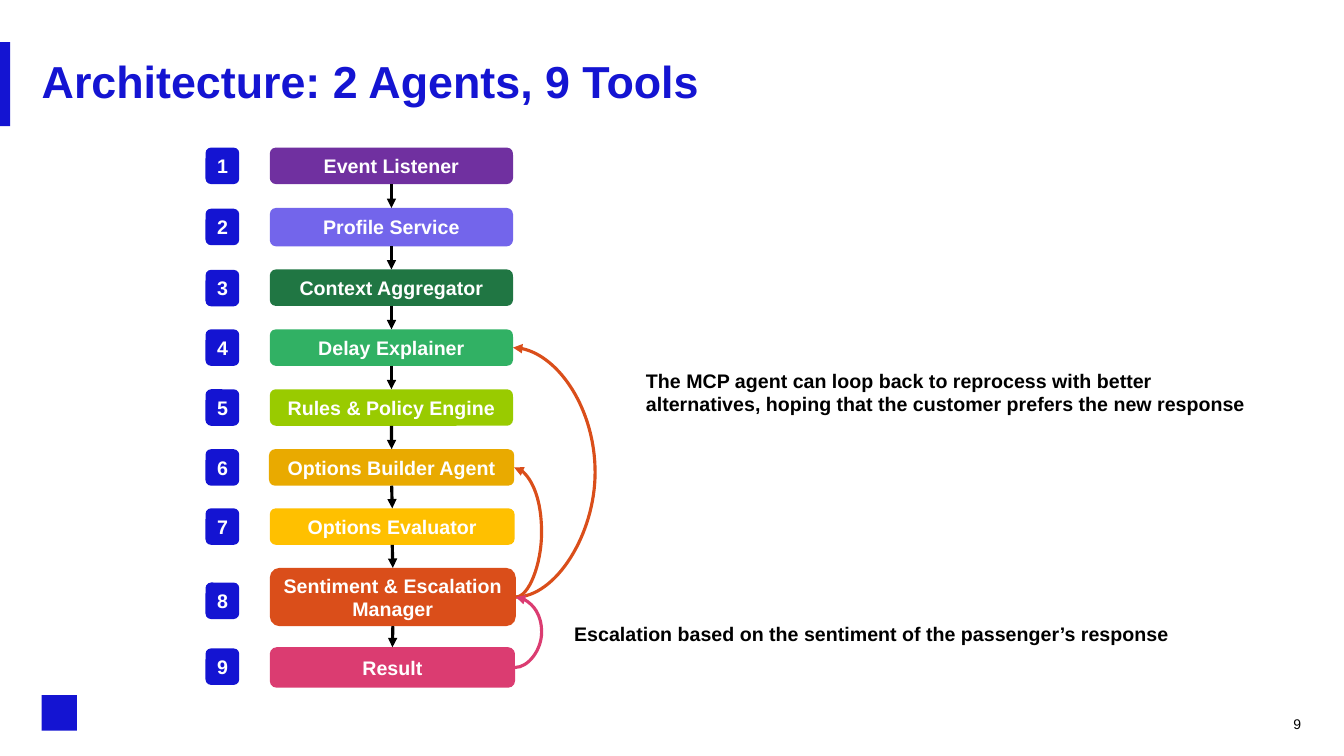
import pptx
import pptx.util
import pptx.dml.color
import pptx.enum.shapes
import pptx.enum.text
import pptx.oxml.ns
import lxml.etree

Cm = pptx.util.Cm
Pt = pptx.util.Pt
Shape = pptx.enum.shapes.MSO_SHAPE
Link = pptx.enum.shapes.MSO_CONNECTOR
Align = pptx.enum.text.PP_ALIGN
Anchor = pptx.enum.text.MSO_ANCHOR
Fit = pptx.enum.text.MSO_AUTO_SIZE
qn = pptx.oxml.ns.qn

FONT = "Arial"
HUES = {
    "blue": "1414D2",
    "black": "000000",
    "white": "FFFFFF",
    "purple": "7030A0",
    "violet": "7365EB",
    "forest": "207643",
    "green": "31B164",
    "lime": "99CB00",
    "amber": "E9AA00",
    "gold": "FFC000",
    "orange": "DA4E1A",
    "pink": "DB3C71",
}

STEPS = [
    ("Event Listener", "purple", 6.8, 3.72, 6.13, 0.92, 3.72),
    ("Profile Service", "violet", 6.8, 5.24, 6.13, 0.97, 5.26),
    ("Context Aggregator", "forest", 6.8, 6.79, 6.13, 0.92, 6.8),
    ("Delay Explainer", "green", 6.8, 8.3, 6.13, 0.92, 8.3),
    ("Rules & Policy Engine", "lime", 6.8, 9.81, 6.13, 0.92, 9.81),
    ("Options Builder Agent", "amber", 6.78, 11.32, 6.18, 0.92, 11.32),
    ("Options Evaluator", "gold", 6.8, 12.81, 6.17, 0.92, 12.81),
    ("Sentiment & Escalation Manager", "orange", 6.8, 14.31, 6.2, 1.47, 14.68),
    ("Result", "pink", 6.8, 16.31, 6.18, 1.02, 16.34),
]

LOOPS = [
    (8, 6, 13.65, "orange"),
    (8, 4, 15, "orange"),
    (9, 8, 13.65, "pink"),
]

NOTES = [
    ("Escalation based on the sentiment of the passenger’s response",
     14.22, 15.54, 16.25, 0.86),
    ("The MCP agent can loop back to reprocess with better alternatives, "
     "hoping that the customer prefers the new response",
     16.03, 9.17, 15.62, 1.45),
]


def tint(name):
    return pptx.dml.color.RGBColor.from_string(HUES[name])


def style(frame, size, hue, bold=True, align=Align.LEFT):
    for para in frame.paragraphs:
        para.alignment = align
        for run in para.runs:
            run.font.name = FONT
            run.font.size = Pt(size)
            run.font.bold = bold
            run.font.color.rgb = tint(hue)


def strip(frame):
    frame.margin_left = frame.margin_right = 0
    frame.margin_top = frame.margin_bottom = 0


def block(slide, kind, hue, left, top, width, height, text=""):
    shape = slide.shapes.add_shape(kind, Cm(left), Cm(top), Cm(width), Cm(height))
    shape.shadow.inherit = False
    shape.fill.solid()
    shape.fill.fore_color.rgb = tint(hue)
    shape.line.fill.background()
    if text:
        frame = shape.text_frame
        frame.text = text
        frame.word_wrap = True
        frame.vertical_anchor = Anchor.MIDDLE
        style(frame, 14, "white", align=Align.CENTER)
    return shape


def label(slide, text, left, top, width, height):
    box = slide.shapes.add_textbox(Cm(left), Cm(top), Cm(width), Cm(height))
    frame = box.text_frame
    frame.word_wrap = True
    frame.text = text
    return frame


def arrow(slide, kind, start, exit, end, entry, hue):
    line = slide.shapes.add_connector(kind, 0, 0, 0, 0)
    line.begin_connect(start, exit)
    line.end_connect(end, entry)
    line.line.color.rgb = tint(hue)
    line.line.width = Pt(2.25)
    stroke = line.line._get_or_add_ln()
    lxml.etree.SubElement(stroke, qn("a:tailEnd"), type="triangle")
    lxml.etree.SubElement(line._element.spPr, qn("a:effectLst"))
    return line


def loop(slide, start, end, reach, hue):
    line = arrow(slide, Link.CURVE, start, 3, end, 3, hue)
    ratio = (Cm(reach) - line.begin_x) / (line.end_x - line.begin_x)
    guides = line._element.spPr.find(".//" + qn("a:avLst"))
    lxml.etree.SubElement(guides, qn("a:gd"), name="adj1",
                          fmla=f"val {round(ratio * 100000)}")


def head(slide, text):
    title = slide.shapes.title
    title.left, title.top = Cm(1.05), Cm(1.5)
    title.width, title.height = Cm(31.75), Cm(1.22)
    frame = title.text_frame
    frame.text = text
    frame.auto_size = Fit.NONE
    frame.vertical_anchor = Anchor.MIDDLE
    strip(frame)
    frame.paragraphs[0].line_spacing = 0.9
    style(frame, 32, "blue")


def main():
    deck = pptx.Presentation()
    deck.slide_width, deck.slide_height = Cm(33.87), Cm(19.05)
    slide = deck.slides.add_slide(deck.slide_layouts[5])

    block(slide, Shape.RECTANGLE, "blue", 0, 1.06, 0.26, 2.12)
    block(slide, Shape.RECTANGLE, "blue", 1.05, 17.52, 0.89, 0.89)
    head(slide, "Architecture: 2 Agents, 9 Tools")

    boxes = []
    for rank, (text, hue, left, top, width, height, level) in enumerate(STEPS, 1):
        boxes.append(block(slide, Shape.ROUNDED_RECTANGLE, hue,
                           left, top, width, height, text))
        block(slide, Shape.ROUNDED_RECTANGLE, "blue",
              5.18, level, 0.85, 0.92, str(rank))

    for upper, lower in zip(boxes, boxes[1:]):
        arrow(slide, Link.STRAIGHT, upper, 2, lower, 0, "black")
    for start, end, reach, hue in LOOPS:
        loop(slide, boxes[start - 1], boxes[end - 1], reach, hue)

    for note in NOTES:
        style(label(slide, *note), 14, "black")

    page = label(slide, "9", 31.6, 17.98, 1.19, 0.51)
    strip(page)
    page.vertical_anchor = Anchor.MIDDLE
    style(page, 10, "black", False, Align.RIGHT)

    deck.save("out.pptx")


if __name__ == "__main__":
    main()
